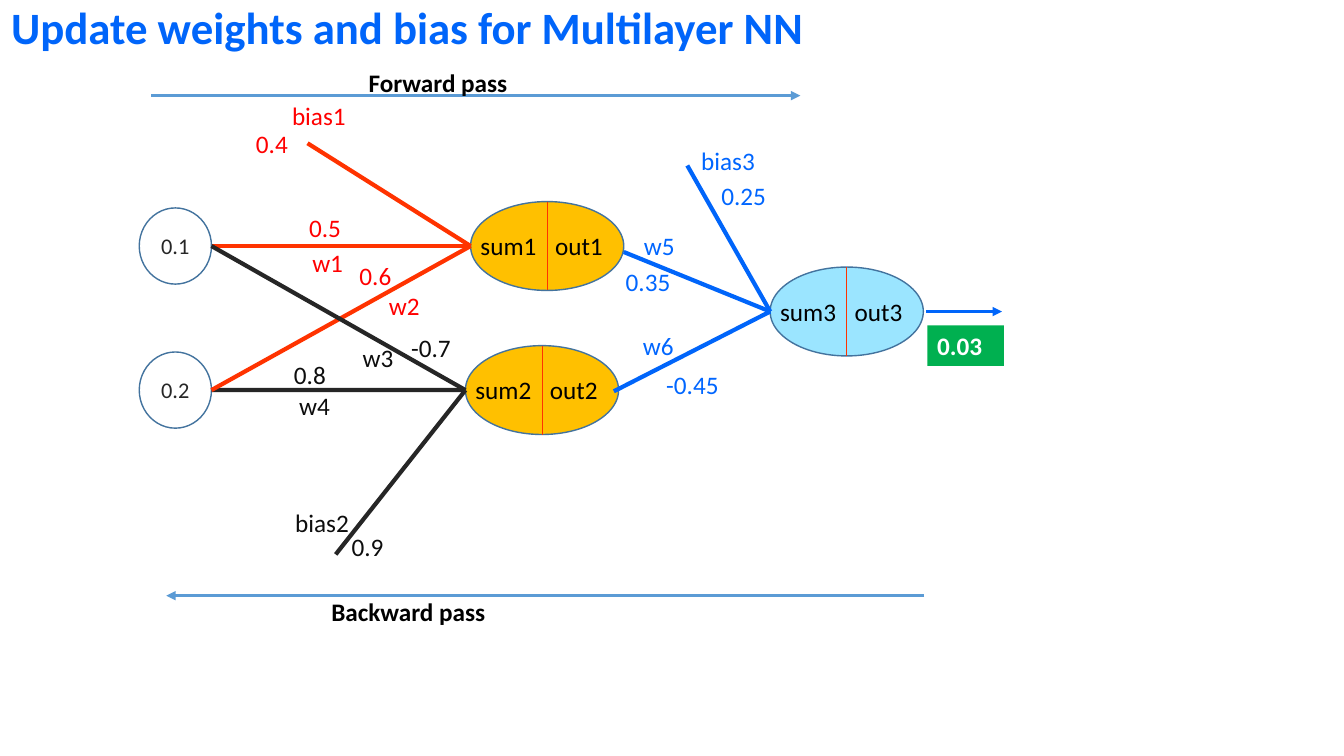
from dataclasses import dataclass
from typing import Optional

from lxml.etree import SubElement
from pptx import Presentation
from pptx.dml.color import RGBColor
from pptx.enum.shapes import MSO_CONNECTOR, MSO_SHAPE
from pptx.enum.text import MSO_ANCHOR, MSO_AUTO_SIZE, PP_ALIGN
from pptx.oxml.ns import qn
from pptx.shapes.autoshape import Shape
from pptx.slide import Slide
from pptx.util import Cm, Pt

COLORS = {
    "title": "0065FA", "output_edge": "0065FA", "output_label": "0066FF",
    "first_edge": "FF3300", "first_label": "FF0000",
    "second_edge": "262626", "second_label": "0D0D0D",
    "hidden": "FFC000", "output": "9BE5FF", "outline": "43739E",
    "result": "00B050", "pass": "5B9BD5", "black": "000000",
    "white": "FFFFFF", "input": "262626",
}
FONT = "Calibri"
TEXT_HEIGHT = 1.02
LABEL_WIDTH = 1.98


@dataclass(frozen=True)
class Point:
    x: float
    y: float


@dataclass(frozen=True)
class Node:
    left: float
    top: float
    width: float
    height: float

    @property
    def entry(self) -> Point:
        return Point(self.left, self.top + self.height / 2)

    @property
    def exit(self) -> Point:
        return Point(self.left + self.width, self.top + self.height / 2)


@dataclass(frozen=True)
class Neuron(Node):
    number: int
    fill: str


@dataclass(frozen=True)
class Input(Node):
    value: str


@dataclass(frozen=True)
class Edge:
    start: Point
    end: Point
    color: str
    weight: float = 3
    arrow: bool = False


@dataclass(frozen=True)
class Label:
    text: str
    left: float
    top: float
    color: str
    width: float = LABEL_WIDTH
    height: float = TEXT_HEIGHT
    size: float = 18
    bold: bool = False


def rgb(name: str) -> RGBColor:
    return RGBColor.from_string(COLORS[name])


def write(shape: Shape, text: str, size: float, color: str, bold: bool = False,
          align: PP_ALIGN = PP_ALIGN.LEFT) -> None:
    paragraph = shape.text_frame.paragraphs[0]
    paragraph.alignment = align
    run = paragraph.add_run()
    run.text = text
    run.font.name = FONT
    run.font.size = Pt(size)
    run.font.bold = bold
    run.font.color.rgb = rgb(color)


def draw_label(slide: Slide, label: Label) -> None:
    box = slide.shapes.add_textbox(
        Cm(label.left), Cm(label.top), Cm(label.width), Cm(label.height))
    box.text_frame.word_wrap = True
    box.text_frame.auto_size = MSO_AUTO_SIZE.SHAPE_TO_FIT_TEXT
    write(box, label.text, label.size, label.color, label.bold)


def draw_edge(slide: Slide, edge: Edge) -> None:
    line = slide.shapes.add_connector(
        MSO_CONNECTOR.STRAIGHT, Cm(edge.start.x), Cm(edge.start.y),
        Cm(edge.end.x), Cm(edge.end.y))
    line.line.color.rgb = rgb(edge.color)
    line.line.width = Pt(edge.weight)
    if edge.arrow:
        SubElement(line.line._get_or_add_ln(), qn("a:tailEnd"), type="triangle")
    SubElement(line._element.spPr, qn("a:effectLst"))


def draw_ellipse(slide: Slide, node: Node, fill: Optional[str] = None) -> Shape:
    ellipse = slide.shapes.add_shape(
        MSO_SHAPE.OVAL, Cm(node.left), Cm(node.top), Cm(node.width), Cm(node.height))
    ellipse.shadow.inherit = False
    if fill:
        ellipse.fill.solid()
        ellipse.fill.fore_color.rgb = rgb(fill)
    else:
        ellipse.fill.background()
    ellipse.line.color.rgb = rgb("outline")
    ellipse.line.width = Pt(1)
    return ellipse


def draw_neuron(slide: Slide, neuron: Neuron) -> None:
    draw_ellipse(slide, neuron, neuron.fill)
    middle = neuron.left + neuron.width / 2
    draw_edge(slide, Edge(Point(middle, neuron.top),
                          Point(middle, neuron.top + neuron.height), "first_edge", 0.5))
    for name, offset in (("sum", 0), ("out", 1.88)):
        draw_label(slide, Label(f"{name}{neuron.number}", neuron.left + offset,
                                neuron.top + 0.61, "black", 2.11))


def draw_input(slide: Slide, source: Input) -> None:
    circle = draw_ellipse(slide, source)
    circle.text_frame.word_wrap = False
    circle.text_frame.vertical_anchor = MSO_ANCHOR.MIDDLE
    write(circle, source.value, 16, "input", align=PP_ALIGN.CENTER)


def draw_result(slide: Slide) -> None:
    result = slide.shapes.add_shape(
        MSO_SHAPE.RECTANGLE, Cm(23.37), Cm(8.2), Cm(1.93), Cm(TEXT_HEIGHT))
    result.shadow.inherit = False
    result.fill.solid()
    result.fill.fore_color.rgb = rgb("result")
    result.line.fill.background()
    result.text_frame.vertical_anchor = MSO_ANCHOR.TOP
    write(result, "0.03", 18, "white", bold=True)


# Network nodes
INPUT1, INPUT2 = (Input(3.51, top, 1.82, 1.92, value)
                  for top, value in ((5.24, "0.1"), (8.87, "0.2")))
HIDDEN1, HIDDEN2, OUTPUT = (
    Neuron(left, top, 3.86, 2.24, number, fill)
    for number, (left, top, fill) in enumerate(
        ((11.86, 5.08, "hidden"), (11.73, 8.71, "hidden"), (19.41, 6.73, "output")), 1))

# Weighted connections, bias lines and pass arrows
EDGES = (
    Edge(INPUT1.exit, HIDDEN1.entry, "first_edge"),
    Edge(INPUT2.exit, HIDDEN2.entry, "second_edge"),
    Edge(INPUT2.exit, HIDDEN1.entry, "first_edge"),
    Edge(INPUT1.exit, HIDDEN2.entry, "second_edge"),
    Edge(Point(7.75, 3.61), HIDDEN1.entry, "first_edge"),
    Edge(Point(8.46, 13.97), HIDDEN2.entry, "second_edge"),
    Edge(Point(15.72, 6.35), OUTPUT.entry, "output_edge"),
    Edge(Point(15.47, 9.86), OUTPUT.entry, "output_edge"),
    Edge(Point(17.32, 4.17), OUTPUT.entry, "output_edge"),
    Edge(Point(23.34, 7.85), Point(25.25, 7.85), "output_edge", 2.25, True),
    Edge(Point(3.81, 2.41), Point(20.17, 2.41), "pass", 2.25, True),
    Edge(Point(23.29, 15.01), Point(4.19, 15.01), "pass", 2.25, True),
)

# Weight and bias names with their values, by target neuron
PARAMETERS = {
    "first_label": (
        ("bias1", 7.11, 2.41), ("0.4", 6.2, 3.12), ("w1", 7.62, 6.1),
        ("0.5", 7.54, 5.23), ("w2", 9.55, 7.19), ("0.6", 8.81, 6.43)),
    "second_label": (
        ("bias2", 7.19, 12.67), ("0.9", 8.61, 13.26), ("w3", 8.89, 8.51),
        ("-0.7", 10.11, 8.26), ("w4", 7.29, 9.7), ("0.8", 7.16, 8.94)),
    "output_label": (
        ("bias3", 17.42, 3.53), ("0.25", 17.93, 4.42), ("w5", 15.98, 5.69),
        ("0.35", 15.52, 6.58), ("w6", 15.95, 8.2), ("-0.45", 16.54, 9.19)),
}
HEADINGS = (
    Label("Forward pass", 9.04, 1.57, "black", 8.46, bold=True),
    Label("Backward pass", 8.1, 14.91, "black", 8.46, bold=True),
    Label("Update weights and bias for Multilayer NN", 0.03, -0.13, "title",
          20.5, 1.63, 32, True),
)


def main() -> None:
    presentation = Presentation()
    presentation.slide_width, presentation.slide_height = Cm(33.87), Cm(19.05)
    slide = presentation.slides.add_slide(presentation.slide_layouts[6])
    for neuron in (HIDDEN1, HIDDEN2, OUTPUT):
        draw_neuron(slide, neuron)
    for source in (INPUT1, INPUT2):
        draw_input(slide, source)
    for edge in EDGES:
        draw_edge(slide, edge)
    for color, entries in PARAMETERS.items():
        for text, left, top in entries:
            draw_label(slide, Label(text, left, top, color))
    draw_result(slide)
    for heading in HEADINGS:
        draw_label(slide, heading)
    presentation.save("out.pptx")


if __name__ == "__main__":
    main()
